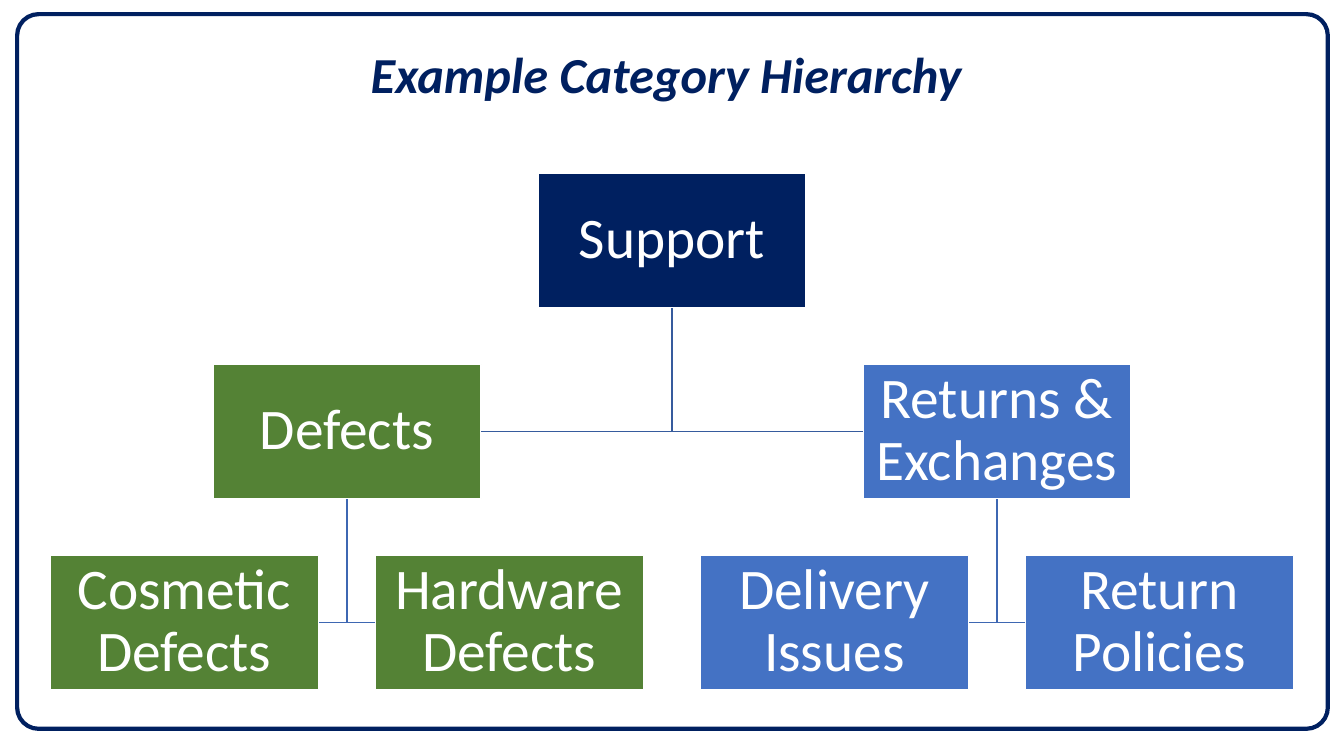
from dataclasses import dataclass, field

from pptx import Presentation
from pptx.dml.color import RGBColor
from pptx.enum import shapes, text
from pptx.util import Inches, Pt


@dataclass(frozen=True)
class Theme:
    font: str = "Calibri"
    title_size: int = 36
    node_size: int = 41
    navy: str = "002060"
    green: str = "548235"
    blue: str = "4472C4"
    white: str = "FFFFFF"
    root_link: str = "365B9D"
    branch_link: str = "3E67B2"


@dataclass
class Category:
    name: str
    color: str
    link: str = ""
    children: list = field(default_factory=list)


THEME = Theme()
NODE_W, NODE_H = 2.66, 1.33

HIERARCHY = Category("Support", THEME.navy, THEME.root_link, [
    Category("Defects", THEME.green, THEME.branch_link, [
        Category("Cosmetic Defects", THEME.green),
        Category("Hardware Defects", THEME.green),
    ]),
    Category("Returns & Exchanges", THEME.blue, THEME.branch_link, [
        Category("Delivery Issues", THEME.blue),
        Category("Return Policies", THEME.blue),
    ]),
])


def set_line(sp, color, width):
    sp.shadow.inherit = False
    sp.line.color.rgb = RGBColor.from_string(color)
    sp.line.width = Pt(width)


def set_fill(sp, color):
    sp.fill.solid()
    sp.fill.fore_color.rgb = RGBColor.from_string(color)


def add_run(p, words, size, color):
    p.alignment = text.PP_ALIGN.CENTER
    r = p.add_run()
    r.text = words
    r.font.name = THEME.font
    r.font.size = Pt(size)
    r.font.color.rgb = RGBColor.from_string(color)
    return r


def add_frame(s, left, top, width, height):
    sp = s.shapes.add_shape(shapes.MSO_SHAPE.ROUNDED_RECTANGLE,
                            Inches(left), Inches(top), Inches(width), Inches(height))
    sp.adjustments[0] = 0.03
    set_fill(sp, THEME.white)
    set_line(sp, THEME.navy, 3)


def place_title(s, words, left, top, width, height):
    """Format the title placeholder and bring it in front of the frame."""
    title = s.shapes.title
    title.left, title.top = Inches(left), Inches(top)
    title.width, title.height = Inches(width), Inches(height)
    tf = title.text_frame
    tf.word_wrap = True
    tf.auto_size = text.MSO_AUTO_SIZE.NONE
    tf.vertical_anchor = text.MSO_ANCHOR.TOP
    r = add_run(tf.paragraphs[0], words, THEME.title_size, THEME.navy)
    r.font.bold = r.font.italic = True
    title.element.getparent().append(title.element)


def add_node(s, category, center, top):
    sp = s.shapes.add_shape(shapes.MSO_SHAPE.RECTANGLE, Inches(center - NODE_W / 2),
                            Inches(top), Inches(NODE_W), Inches(NODE_H))
    set_fill(sp, category.color)
    set_line(sp, THEME.white, 1)
    tf = sp.text_frame
    tf.word_wrap = True
    tf.vertical_anchor = text.MSO_ANCHOR.MIDDLE
    tf.margin_left = tf.margin_right = tf.margin_top = tf.margin_bottom = Inches(0.03)
    p = tf.paragraphs[0]
    p.line_spacing = 0.9
    add_run(p, category.name, THEME.node_size, THEME.white)


def add_link(s, color, parent, child):
    """Drop from the parent's bottom, then turn to the child's inner side."""
    (px, py), (cx, cy) = parent, child
    mid = Inches(cy + NODE_H / 2)
    side = cx + (NODE_W / 2 if cx < px else -NODE_W / 2)
    path = s.shapes.build_freeform(Inches(px), Inches(py + NODE_H))
    path.add_line_segments([(Inches(px), mid), (Inches(side), mid)], close=False)
    sp = path.convert_to_shape()
    sp.fill.background()
    set_line(sp, color, 1)


def count_leaves(category):
    return sum(map(count_leaves, category.children)) or 1


def count_levels(category):
    return 1 + max(map(count_levels, category.children), default=0)


def add_hierarchy(s, root, left, top, width, height):
    """Spread leaves evenly across the box and centre each parent over its children."""
    column = (width - NODE_W) / (count_leaves(root) - 1)
    row = (height - NODE_H) / (count_levels(root) - 1)

    def add_branch(category, first_leaf, level):
        y = top + level * row
        x = left + NODE_W / 2 + column * (first_leaf + (count_leaves(category) - 1) / 2)
        for child in category.children:
            child_spot = add_branch(child, first_leaf, level + 1)
            add_link(s, category.link, (x, y), child_spot)
            first_leaf += count_leaves(child)
        add_node(s, category, x, y)
        return x, y

    add_branch(root, 0, 0)


def main():
    prs = Presentation()
    prs.slide_width, prs.slide_height = Inches(13.33), Inches(7.5)
    s = prs.slides.add_slide(prs.slide_layouts[5])
    add_frame(s, 0.17, 0.14, 13, 7.09)
    add_hierarchy(s, HIERARCHY, 0.5, 1.72, 12.33, 5.12)
    place_title(s, "Example Category Hierarchy ", 0.34, 0.38, 12.65, 0.71)
    prs.save("out.pptx")


if __name__ == "__main__":
    main()
